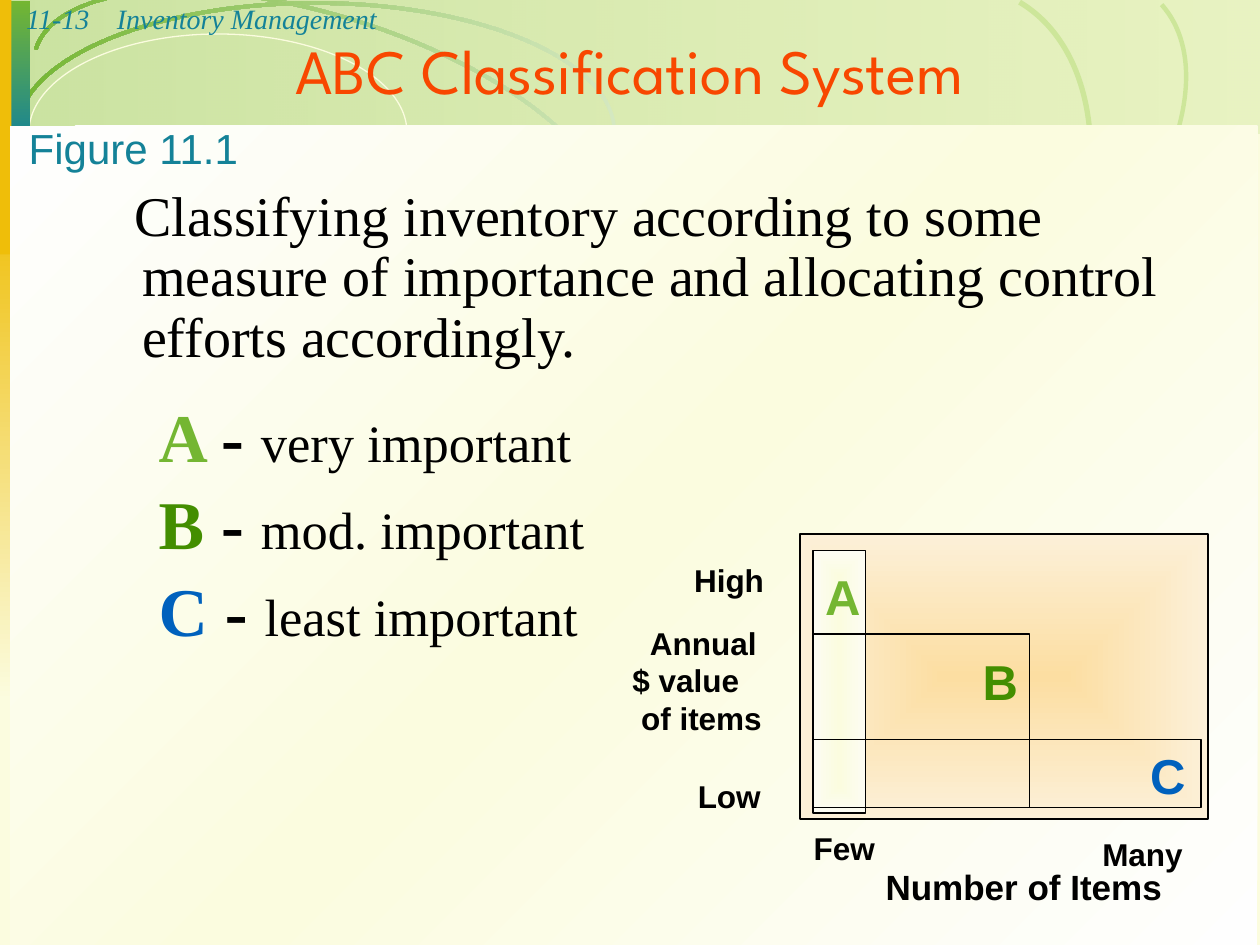
from lxml import etree
from pptx import Presentation
from pptx.dml.color import RGBColor
from pptx.enum.shapes import MSO_SHAPE
from pptx.enum.text import MSO_ANCHOR, PP_ALIGN
from pptx.oxml.ns import qn
from pptx.util import Inches, Pt

RECT, OVAL, ARC = MSO_SHAPE.RECTANGLE, MSO_SHAPE.OVAL, MSO_SHAPE.BLOCK_ARC
LEFT, CENTER = PP_ALIGN.LEFT, PP_ALIGN.CENTER
TOP, BOTTOM = MSO_ANCHOR.TOP, MSO_ANCHOR.BOTTOM
SERIF, SANS, DISPLAY = "Times New Roman", "Arial", "League Spartan"
BLACK, TEAL, ORANGE, CREAM = "000000", "148298", "F84700", "FBFCDF"
GREEN, YELLOW, LIME = "74B632", "EFBE09", "CDE69A"
CLASS_COLORS = {"A": GREEN, "B": "438E00", "C": "0061BD"}
COLS, ROWS = 100, 75


def rgb(color):
    return RGBColor.from_string(color)


class Deck:
    """Places styled elements on a grid of COLS by ROWS."""

    def __init__(self):
        self.prs = Presentation()
        self.prs.slide_width, self.prs.slide_height = Inches(10), Inches(7.5)
        self.s = self.prs.slides.add_slide(self.prs.slide_layouts[5])
        fill = self.s.background.fill
        fill.solid()
        fill.fore_color.rgb = rgb(CREAM)

    def box(self, at):
        w, h = self.prs.slide_width, self.prs.slide_height
        return [int(v * size / n) for v, size, n in
                zip(at, (w, h, w, h), (COLS, ROWS, COLS, ROWS))]

    def gradient(self, sp, colors, angle=None, alphas=None):
        """Evenly spaced stops; without an angle it spreads from the centre."""
        grad = etree.Element(qn("a:gradFill"), rotWithShape="1")
        stops = etree.SubElement(grad, qn("a:gsLst"))
        for i, color in enumerate(colors):
            gs = etree.SubElement(stops, qn("a:gs"), pos=str(i * 100000 // (len(colors) - 1)))
            clr = etree.SubElement(gs, qn("a:srgbClr"), val=color)
            if alphas:
                etree.SubElement(clr, qn("a:alpha"), val=str(alphas[i] * 1000))
        if angle is None:
            sweep = etree.SubElement(grad, qn("a:path"), path="rect")
            etree.SubElement(sweep, qn("a:fillToRect"),
                             dict.fromkeys("ltrb", "50000"))
        else:
            etree.SubElement(grad, qn("a:lin"), ang=str(angle * 60000), scaled="0")
        sp._element.spPr.find(qn("a:prstGeom")).addnext(grad)

    def shape(self, kind, at, fill=None, angle=None, alphas=None, line=None, width=1):
        sp = self.s.shapes.add_shape(kind, *self.box(at))
        sp.shadow.inherit = False
        if isinstance(fill, list):
            self.gradient(sp, fill, angle, alphas)
        elif fill:
            sp.fill.solid()
            sp.fill.fore_color.rgb = rgb(fill)
        else:
            sp.fill.background()
        if line:
            sp.line.color.rgb = rgb(line)
            sp.line.width = Pt(width)
        else:
            sp.line.fill.background()
        return sp

    def arc(self, at, fill, angle=None, rotation=0, flip=False):
        """A thin upper half ring."""
        sp = self.shape(ARC, at, fill, angle)
        for i, value in enumerate((108, 0, 0.014)):
            sp.adjustments[i] = value
        sp.rotation = rotation
        if flip:
            sp._element.spPr.find(qn("a:xfrm")).set("flipV", "1")

    def frame(self, sp, anchor=TOP, wrap=False):
        tf = sp.text_frame
        tf.word_wrap, tf.vertical_anchor = wrap, anchor
        tf.margin_left = tf.margin_right = Inches(0.1)
        tf.margin_top = tf.margin_bottom = Inches(0.05)
        return tf

    def run(self, p, text, size, font, color, bold=False, italic=False):
        r = p.add_run()
        r.text = text
        r.font.size, r.font.name = Pt(size), font
        r.font.bold, r.font.italic = bold, italic
        r.font.color.rgb = rgb(color)

    def indent(self, p, left, first=0):
        pPr = p._p.get_or_add_pPr()
        pPr.set("marL", str(Inches(left)))
        pPr.set("indent", str(Inches(first)))

    def text(self, at, lines, size, font=SANS, color=BLACK, align=LEFT, **style):
        """Each line is a pair of wording and left indent in inches."""
        tf = self.frame(self.s.shapes.add_textbox(*self.box(at)))
        for i, (words, left) in enumerate(lines):
            p = tf.add_paragraph() if i else tf.paragraphs[0]
            p.alignment = align
            self.indent(p, left)
            self.run(p, words, size, font, color, **style)

    def title(self, at, words):
        sp = self.s.shapes.title
        sp.left, sp.top, sp.width, sp.height = self.box(at)
        p = self.frame(sp, BOTTOM, True).paragraphs[0]
        p.alignment = CENTER
        self.run(p, words, 36, DISPLAY, ORANGE)
        sp._element.getparent().append(sp._element)  # above the header art

    def body(self, at, intro, classes):
        tf = self.frame(self.s.shapes.add_textbox(*self.box(at)), wrap=True)
        p = tf.paragraphs[0]
        self.indent(p, 0.06, -0.06)
        p.line_spacing, p.space_after = 0.9, Pt(12)
        self.run(p, intro, 32, SERIF, BLACK)
        for letter, meaning in classes:
            p = tf.add_paragraph()
            self.indent(p, 0.19)
            p.line_spacing, p.space_before = 0.9, Pt(7.5)
            self.run(p, letter + " ", 39, SERIF, CLASS_COLORS[letter], bold=True)
            self.run(p, "- ", 39, SERIF, BLACK, bold=True)
            self.run(p, meaning, 30, SERIF, BLACK)


def main():
    d = Deck()

    # Header art and side strips
    d.shape(RECT, (0.1, 0, 99.9, 10.6), ["BCDD7B", GREEN], 180, (29, 36))
    d.arc((1.6, 1.1, 47.7, 19.9), ["D4E8C0", GREEN], 162, 17.5)
    d.shape(OVAL, (2.3, 2.7, 30, 15.6), line=CREAM, width=0.75)
    d.shape(RECT, (0, 15.5, 2.2, 40.1), [YELLOW, CREAM], 90)
    d.arc((50.7, 3.2, 47.7, 25.9), LIME, rotation=318.2, flip=True)
    d.arc((45, 5.2, 47.7, 30.6), LIME, rotation=300.7, flip=True)
    d.arc((1.2, 0.1, 47.7, 20.7), ["D4E8C0", GREEN], 180)
    d.shape(RECT, (0.1, 0.1, 2.3, 11.5), [GREEN, TEAL], 90)
    d.shape(RECT, (0, 0, 0.9, 20.2), YELLOW)
    d.shape(RECT, (0.8, 10, 99, 65), ["FEFEFE", CREAM, "FEFEFE"], 225)

    # Running head, title and figure number
    d.text((0, -0.4, 12.3, 3.7), [("11-13", 0.11)], 16, SERIF, TEAL, italic=True)
    d.text((8.3, -0.4, 85, 3.7), [("Inventory Management", 0)], 16, SERIF, TEAL, italic=True)
    d.title((0, 2.9, 100, 6.1), "ABC Classification System")
    d.text((1.3, 9.2, 21.7, 5), [("Figure 11.1", 0)], 24, color=TEAL)

    # Definition and classes
    d.body((9.7, 14.4, 85.3, 39.5),
           "Classifying inventory according to some measure of importance "
           "and allocating control efforts accordingly.",
           [("A", "very important"), ("B", "mod. important"), ("C", "least important")])

    # Value against number of items
    d.shape(RECT, (63.5, 42.4, 32.4, 22.6), ["FCDEA2", "FCF0D8"], line=BLACK)
    d.shape(RECT, (64.5, 43.7, 4.2, 20.8), [CREAM, "FCFCF3"], line=BLACK)
    d.shape(RECT, (64.5, 58.7, 30.8, 5.4), line=BLACK)
    d.shape(RECT, (64.5, 50.3, 17.2, 13.8), line=BLACK)
    for letter, x, y in (("A", 64.5, 44.5), ("B", 77, 51.2), ("C", 90.3, 58.7)):
        d.text((x, y, 5, 5.6), [(letter, 0)], 28, color=CLASS_COLORS[letter], bold=True)

    # Axis labels, with room to spare so that each keeps to one line
    d.text((49.2, 49, 13, 10), [("Annual", 0.14), ("$ value", 0), ("of items", 0.07)],
           18, bold=True)
    for words, x, y, w in (("High", 54.1, 44, 8.5), ("Low", 54.4, 61.2, 8),
                           ("Few", 63.6, 65.3, 8), ("Many", 86.5, 65.8, 9.5)):
        d.text((x, y, w, 4), [(words, 0)], 18, bold=True)
    d.text((69.3, 68.2, 26, 4.3), [("Number of Items", 0)], 20, bold=True)

    d.prs.save("out.pptx")


if __name__ == "__main__":
    main()
